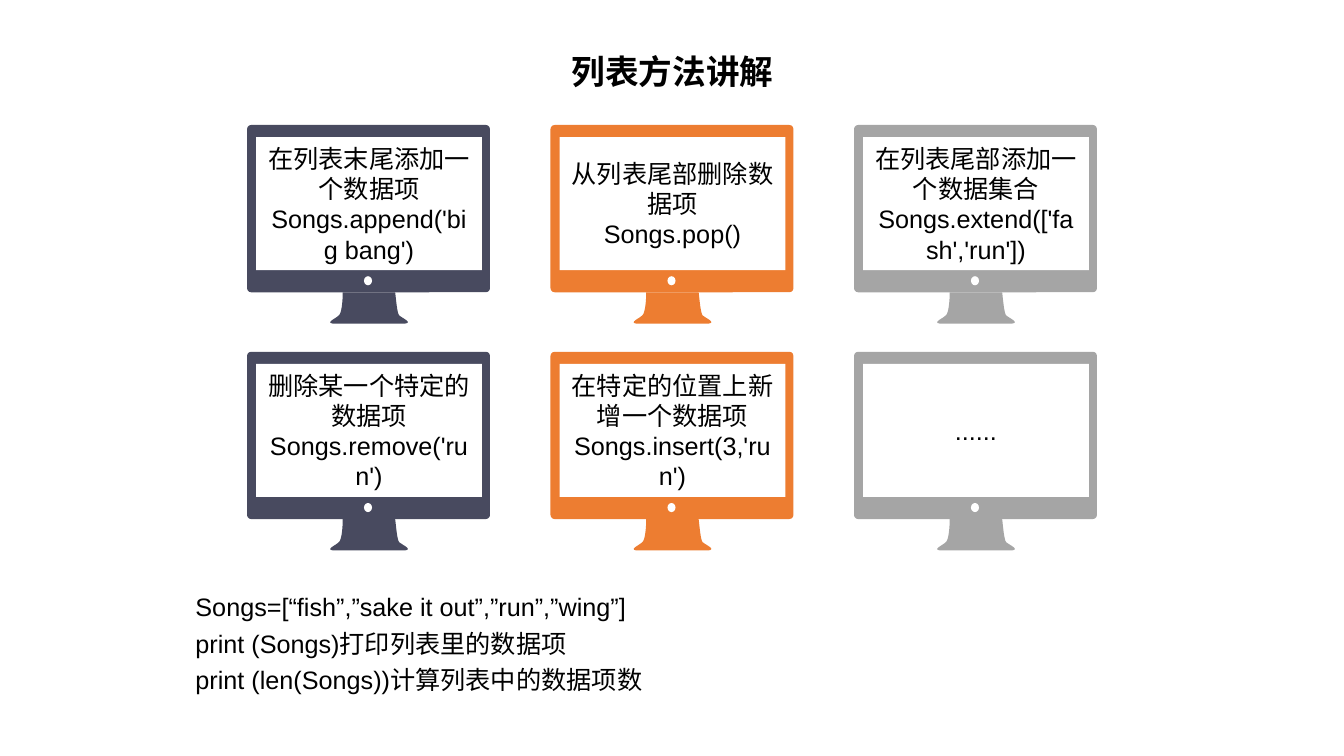
from pptx import Presentation
from pptx import util as u
from pptx.dml.color import RGBColor
from pptx.enum import shapes, text

BLACK = RGBColor(0x00, 0x00, 0x00)
WHITE = RGBColor(0xFF, 0xFF, 0xFF)
SLATE = RGBColor(0x48, 0x4A, 0x5F)
ORANGE = RGBColor(0xED, 0x7D, 0x31)
GRAY = RGBColor(0xA5, 0xA5, 0xA5)

EMU_PER_PX = 9144  # 100 px to the inch
CURVE_STEPS = 8

# Each segment holds the points after its start: one for a line, three for a curve.
STAND_START = (151, 189)
STAND_SEGMENTS = [
    [(149, 187), (148, 174), (147, 166)],
    [(95, 166)],
    [(95, 174), (94, 187), (91, 189)],
    [(88, 192), (78, 196), (85, 197)],
    [(157, 197)],
    [(164, 196), (155, 192), (151, 189)],
]

COLUMN_COLOURS = [SLATE, ORANGE, GRAY]
METHODS = [
    ["在列表末尾添加一个数据项Songs.append('big bang')"],
    ["从列表尾部删除数据项", "Songs.pop()"],
    ["在列表尾部添加一个数据集合Songs.extend(['fash','run'])"],
    ["删除某一个特定的数据项Songs.remove('run')"],
    ["在特定的位置上新增一个数据项Songs.insert(3,'run')"],
    ["......"],
]
EXAMPLE = [
    "Songs=[“fish”,”sake it out”,”run”,”wing”]",
    "print (Songs)打印列表里的数据项",
    "print (len(Songs))计算列表中的数据项数",
]


def px(length):
    return u.Emu(round(length * EMU_PER_PX))


def outline(start, segments):
    """Return the points of a path, with its cubic curves sampled evenly."""
    points = [start]
    for segment in segments:
        if len(segment) == 1:
            points += segment
            continue
        corners = [points[-1], *segment]
        for step in range(1, CURVE_STEPS + 1):
            t = step / CURVE_STEPS
            weights = [(1 - t) ** 3, 3 * t * (1 - t) ** 2, 3 * t * t * (1 - t), t ** 3]
            points.append(tuple(
                sum(w * corner[axis] for w, corner in zip(weights, corners))
                for axis in (0, 1)))
    return points


class SlideMaker:
    font = "Arial"

    def __init__(self, page):
        self.page = page

    def paint(self, shape, colour):
        shape.shadow.inherit = False
        shape.fill.solid()
        shape.fill.fore_color.rgb = colour
        shape.line.fill.background()
        return shape

    def add_lines(self, frame, lines, size=18, bold=False, align=None, spacing=None):
        frame.word_wrap = True
        for index, line in enumerate(lines):
            para = frame.add_paragraph() if index else frame.paragraphs[0]
            para.alignment = align
            para.line_spacing = spacing
            span = para.add_run()
            span.text = line
            span.font.name = self.font
            span.font.size = u.Pt(size)
            span.font.bold = bold
            span.font.color.rgb = BLACK

    def text_box(self, left, top, width, height, lines, **style):
        box = self.page.shapes.add_textbox(px(left), px(top), px(width), px(height))
        self.add_lines(box.text_frame, lines, **style)

    def preset(self, group, kind, left, top, width, height, colour):
        shape = group.shapes.add_shape(kind, px(left), px(top), px(width), px(height))
        return self.paint(shape, colour)

    def stand(self, group, left, top, colour):
        points = [(px(left + x), px(top + y))
                  for x, y in outline(STAND_START, STAND_SEGMENTS)]
        builder = group.shapes.build_freeform(*points[0], scale=1.0)
        builder.add_line_segments(points[1:], close=True)
        self.paint(builder.convert_to_shape(), colour)

    def monitor(self, left, top, colour, lines):
        group = self.page.shapes.add_group_shape()
        kinds = shapes.MSO_SHAPE
        case = self.preset(group, kinds.ROUNDED_RECTANGLE, left, top, 241, 166, colour)
        case.adjustments[0] = 0.025
        self.stand(group, left, top, colour)
        self.preset(group, kinds.OVAL, left + 116, top + 150, 8, 9, WHITE)
        screen = self.preset(group, kinds.RECTANGLE, left + 9, top + 12, 224, 132, WHITE)
        screen.text_frame.vertical_anchor = text.MSO_ANCHOR.MIDDLE
        self.add_lines(screen.text_frame, lines, align=text.PP_ALIGN.CENTER)


def main():
    deck = Presentation()
    deck.slide_width, deck.slide_height = px(1333), px(750)
    maker = SlideMaker(deck.slides.add_slide(deck.slide_layouts[6]))
    maker.text_box(312, 46, 710, 55, ["列表方法讲解"], size=24, bold=True,
                   align=text.PP_ALIGN.CENTER)
    maker.text_box(184, 576, 965, 131, EXAMPLE, spacing=1.2)
    for index, lines in enumerate(METHODS):
        row, column = divmod(index, len(COLUMN_COLOURS))
        maker.monitor(245 + 301 * column, 124 + 225 * row, COLUMN_COLOURS[column], lines)
    deck.save("out.pptx")


if __name__ == "__main__":
    main()
